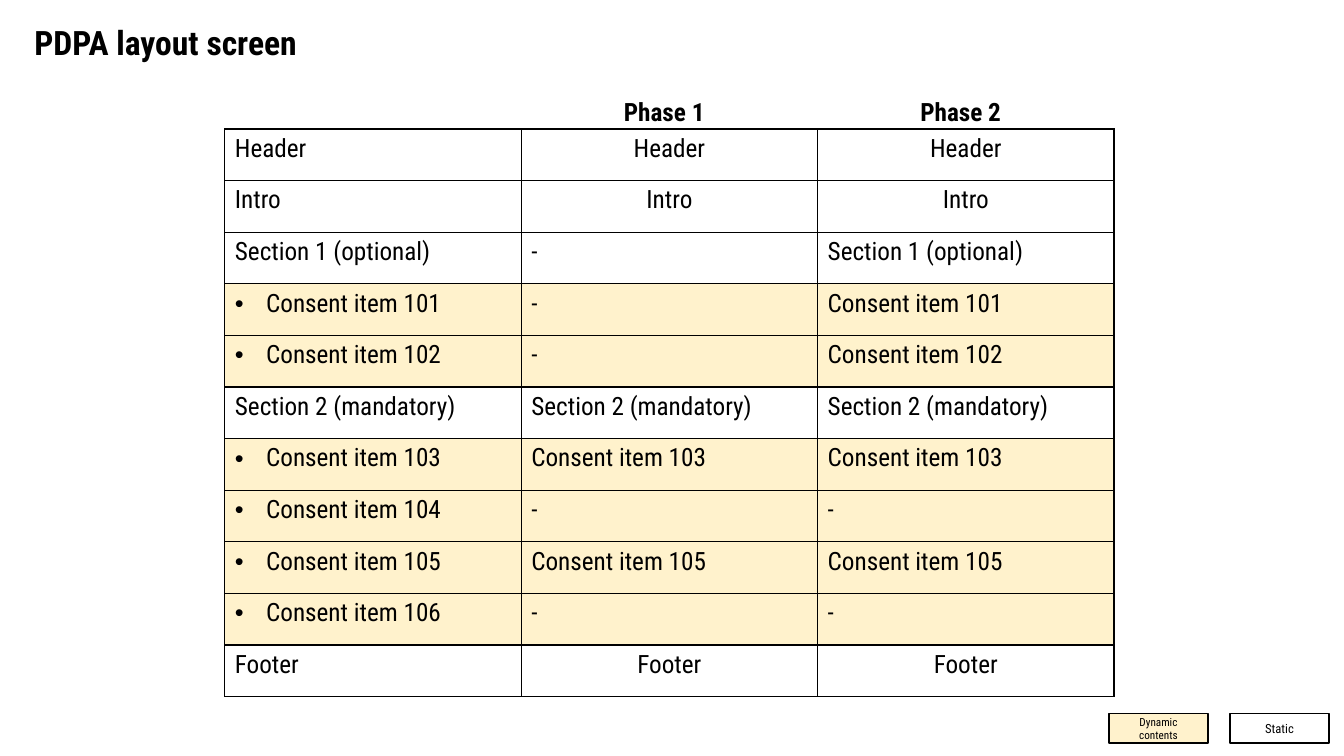
from lxml import etree
from pptx import Presentation
from pptx.dml.color import RGBColor
from pptx.enum.shapes import MSO_SHAPE
from pptx.enum.text import MSO_ANCHOR, PP_ALIGN
from pptx.oxml.ns import qn
from pptx.util import Inches, Pt

RECT = MSO_SHAPE.RECTANGLE
TOP, MIDDLE = MSO_ANCHOR.TOP, MSO_ANCHOR.MIDDLE
LEFT, CENTER = PP_ALIGN.LEFT, PP_ALIGN.CENTER
FONT, BLACK, CREAM = "Roboto Condensed", "000000", "FFF2CC"

TITLE = "PDPA layout screen"
PHASES = ["Phase 1", "Phase 2"]
# Row text, row kind, phases that show it
ROWS = [
    ("Header", "frame", (1, 2)),
    ("Intro", "frame", (1, 2)),
    ("Section 1 (optional)", "section", (2,)),
    ("Consent item 101", "item", (2,)),
    ("Consent item 102", "item", (2,)),
    ("Section 2 (mandatory)", "section", (1, 2)),
    ("Consent item 103", "item", (1, 2)),
    ("Consent item 104", "item", ()),
    ("Consent item 105", "item", (1, 2)),
    ("Consent item 106", "item", ()),
    ("Footer", "frame", (1, 2)),
]
LEGEND = [("Dynamic contents", 8, CREAM), ("Static", 9, None)]

GRID_X, GRID_Y, COL_W, GRID_H = 2.23, 1.28, 2.94, 5.63
PHASE_W = 1.1
KEY_X, KEY_Y, KEY_W, KEY_H, KEY_STEP = 11, 7.08, 0.98, 0.29, 1.2


def color(code):
    """Turn a hex string into a colour."""
    return RGBColor.from_string(code)


def paint(fill, code):
    """Fill with a colour, or with nothing."""
    if code:
        fill.solid()
        fill.fore_color.rgb = color(code)
    else:
        fill.background()


def write(frame, text, size, bold=False, align=LEFT):
    """Put one styled paragraph in a text frame and return it."""
    frame.word_wrap = True
    frame.text = text
    para = frame.paragraphs[0]
    para.alignment = align
    font = para.font
    font.name, font.size, font.bold = FONT, Pt(size), bold
    font.color.rgb = color(BLACK)
    return para


def add_bullet(para):
    """Give a paragraph a hanging round bullet."""
    props = para._p.get_or_add_pPr()
    props.set("marL", str(Inches(0.31)))
    props.set("indent", str(-Inches(0.31)))
    face = etree.Element(qn("a:buFont"), typeface="Arial")
    mark = etree.Element(qn("a:buChar"), char="•")
    props.insert(0, face)
    props.insert(1, mark)


def add_border(cell):
    """Draw a thin black line on every side of a cell."""
    props = cell._tc.get_or_add_tcPr()
    for side in ("lnL", "lnR", "lnT", "lnB"):
        line = etree.SubElement(props, qn("a:" + side), w=str(Pt(1)))
        fill = etree.SubElement(line, qn("a:solidFill"))
        etree.SubElement(fill, qn("a:srgbClr"), val=BLACK)


def add_grid(slide):
    """Add the table that compares the phases."""
    count = len(PHASES) + 1
    table = slide.shapes.add_table(
        len(ROWS), count, Inches(GRID_X), Inches(GRID_Y),
        Inches(COL_W * count), Inches(GRID_H)).table
    table.first_row = table.horz_banding = False
    for col in table.columns:
        col.width = Inches(COL_W)
    for r, (text, kind, shown) in enumerate(ROWS):
        table.rows[r].height = Inches(GRID_H / len(ROWS))
        for c in range(count):
            cell = table.cell(r, c)
            label = text if c == 0 or c in shown else "-"
            align = CENTER if kind == "frame" and c else LEFT
            para = write(cell.text_frame, label, 18, align=align)
            if kind == "item" and c == 0:
                add_bullet(para)
            add_border(cell)
            paint(cell.fill, CREAM if kind == "item" else None)


def add_phases(slide):
    """Add a heading above each phase column."""
    for i, name in enumerate(PHASES, 1):
        left = GRID_X + COL_W * (i + 0.5) - PHASE_W / 2
        box = slide.shapes.add_textbox(
            Inches(left), Inches(0.91), Inches(PHASE_W), Inches(0.4))
        write(box.text_frame, name, 18, bold=True)


def add_legend(slide):
    """Add the key to the row colours."""
    for i, (text, size, code) in enumerate(LEGEND):
        key = slide.shapes.add_shape(
            RECT, Inches(KEY_X + i * KEY_STEP), Inches(KEY_Y),
            Inches(KEY_W), Inches(KEY_H))
        key.shadow.inherit = False
        paint(key.fill, code)
        key.line.color.rgb = color(BLACK)
        key.line.width = Pt(1)
        key.text_frame.vertical_anchor = MIDDLE
        write(key.text_frame, text, size, align=CENTER)


deck = Presentation()
deck.slide_width, deck.slide_height = Inches(13.33), Inches(7.5)
slide = deck.slides.add_slide(deck.slide_layouts[5])
title = slide.shapes.title
title.left, title.top = Inches(0.24), Inches(0.17)
title.width, title.height = Inches(5.38), Inches(0.5)
title.text_frame.vertical_anchor = TOP
write(title.text_frame, TITLE, 24, bold=True)
add_grid(slide)
add_phases(slide)
add_legend(slide)
deck.save("out.pptx")
